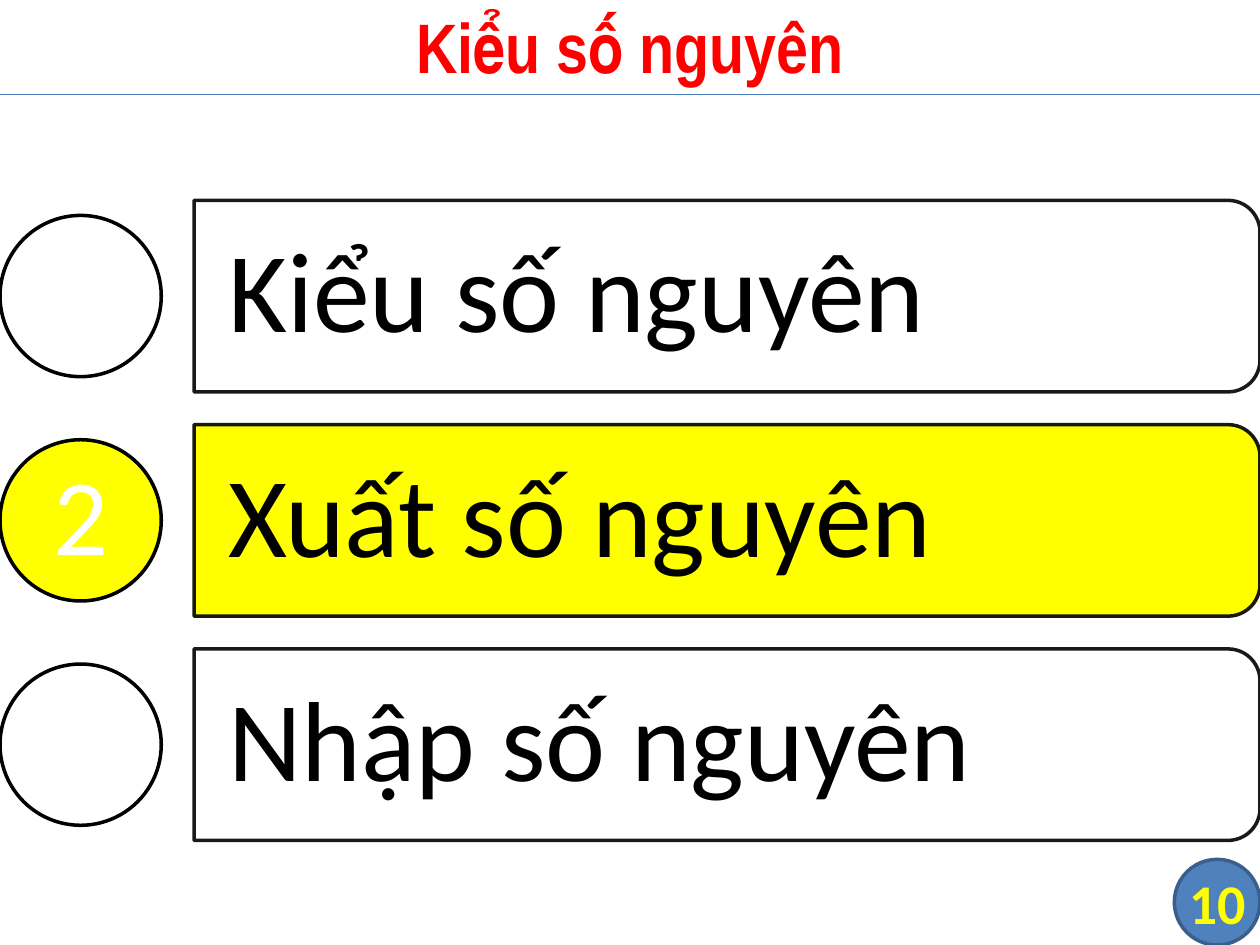
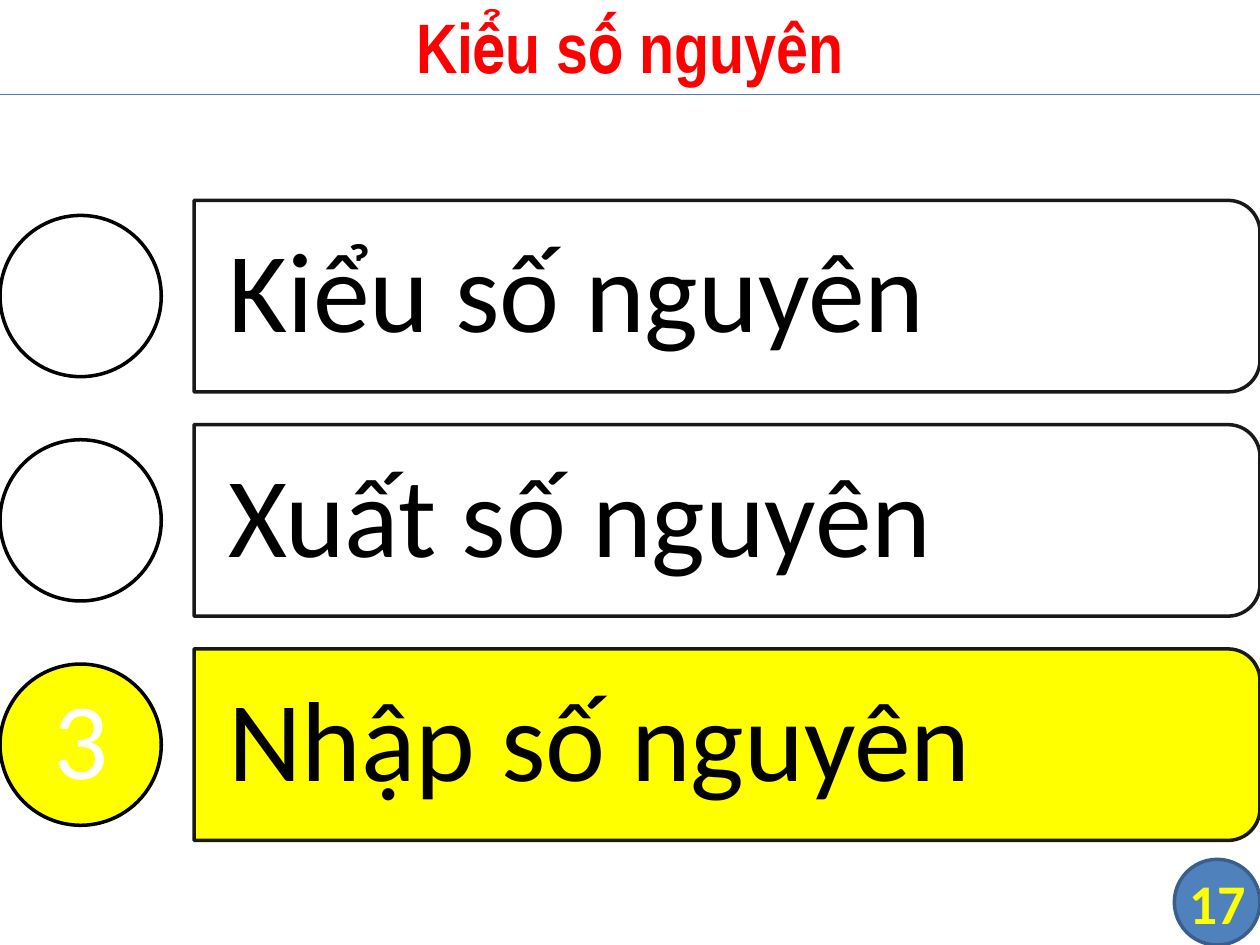
from lxml import etree
from pptx import Presentation
from pptx.dml.color import RGBColor
from pptx.enum.shapes import MSO_CONNECTOR as Connector, MSO_SHAPE as Shape
from pptx.enum.text import MSO_ANCHOR as Anchor, MSO_AUTO_SIZE as AutoSize, PP_ALIGN as Align
from pptx.oxml.ns import qn
from pptx.util import Inches, Pt


def paint(color_format, hex_color):
    color_format.rgb = RGBColor.from_string(hex_color)


def write(box, text, font_name, size, color, align, bold=False, inset_x=0, inset_y=0, spacing=1.0):
    frame = box.text_frame
    frame.word_wrap = True
    frame.auto_size = AutoSize.NONE
    frame.vertical_anchor = Anchor.MIDDLE
    frame.margin_left = frame.margin_right = Inches(inset_x)
    frame.margin_top = frame.margin_bottom = Inches(inset_y)
    para = frame.paragraphs[0]
    para.text = text
    para.alignment = align
    para.line_spacing = spacing
    para.font.name = font_name
    para.font.size = Pt(size)
    para.font.bold = bold
    paint(para.font.color, color)


RED, YELLOW, WHITE, BLACK = "FF0000", "FFFF00", "FFFFFF", "000000"
BADGE_FILL, BADGE_LINE, RULE = "4F81BD", "3A5F8C", "4B7EBC"
TITLE = "Kiểu số nguyên"
TOPICS = ["Kiểu số nguyên", "Xuất số nguyên", "Nhập số nguyên"]
PAGES = [("10", 2), ("17", 3)]

WIDTH, HEIGHT = 10, 7.5
RULE_Y = HEIGHT / 10
BADGE = 0.68
FIRST_ROW, ROW_STEP = 2.35, 1.78
CIRCLE = 1.28
BAR_LEFT, BAR_HEIGHT = 1.54, 1.52
BAR_WIDTH = WIDTH - BAR_LEFT
LABEL_WIDTH, LABEL_HEIGHT = 8.39, 1.37

deck = Presentation()
deck.slide_width = Inches(WIDTH)
deck.slide_height = Inches(HEIGHT)

for number, current in PAGES:
    page = deck.slides.add_slide(deck.slide_layouts[5])

    title = page.shapes.title
    title.left, title.top = Inches(0), Inches(-0.03)
    title.width, title.height = Inches(WIDTH), Inches(0.78)
    write(title, TITLE, "Arial Narrow", 40, RED, Align.CENTER, bold=True, inset_x=0.1, inset_y=0.05)

    rule = page.shapes.add_connector(
        Connector.STRAIGHT, Inches(0), Inches(RULE_Y), Inches(WIDTH), Inches(RULE_Y))
    rule.line.width = Pt(0.75)
    paint(rule.line.color, RULE)
    etree.SubElement(rule._element.spPr, qn("a:effectLst"))

    badge = page.shapes.add_shape(
        Shape.FLOWCHART_CONNECTOR, Inches(WIDTH - BADGE), Inches(HEIGHT - BADGE),
        Inches(BADGE), Inches(BADGE))
    badge.shadow.inherit = False
    badge.fill.solid()
    paint(badge.fill.fore_color, BADGE_FILL)
    badge.line.width = Pt(2)
    paint(badge.line.color, BADGE_LINE)

    page_number = page.shapes.add_textbox(
        Inches(WIDTH - BADGE), Inches(HEIGHT - BADGE), Inches(BADGE), Inches(BADGE))
    write(page_number, number, "Calibri", 32, YELLOW, Align.CENTER, bold=True)

    for row, topic in enumerate(TOPICS):
        middle = FIRST_ROW + row * ROW_STEP
        active = row + 1 == current

        bar = page.shapes.add_shape(
            Shape.ROUND_2_SAME_RECTANGLE,
            Inches(BAR_LEFT + (BAR_WIDTH - BAR_HEIGHT) / 2), Inches(middle - BAR_WIDTH / 2),
            Inches(BAR_HEIGHT), Inches(BAR_WIDTH))
        bar.rotation = 90
        circle = page.shapes.add_shape(
            Shape.OVAL, Inches(0), Inches(middle - CIRCLE / 2), Inches(CIRCLE), Inches(CIRCLE))
        for shape in (bar, circle):
            shape.shadow.inherit = False
            shape.fill.solid()
            paint(shape.fill.fore_color, YELLOW if active else WHITE)
            shape.line.width = Pt(2)
            paint(shape.line.color, BLACK)
        line_color = bar.line._ln.find(".//" + qn("a:srgbClr"))
        etree.SubElement(line_color, qn("a:alpha"), val="90000")

        label = page.shapes.add_textbox(
            Inches(BAR_LEFT), Inches(middle - LABEL_HEIGHT / 2),
            Inches(LABEL_WIDTH), Inches(LABEL_HEIGHT))
        write(label, topic, "Calibri", 65, BLACK, Align.LEFT,
              inset_x=0.27, inset_y=0.18, spacing=0.9)
        if active:
            write(circle, str(current), "Calibri", 62, WHITE, Align.CENTER, spacing=0.9)

deck.save("out.pptx")
